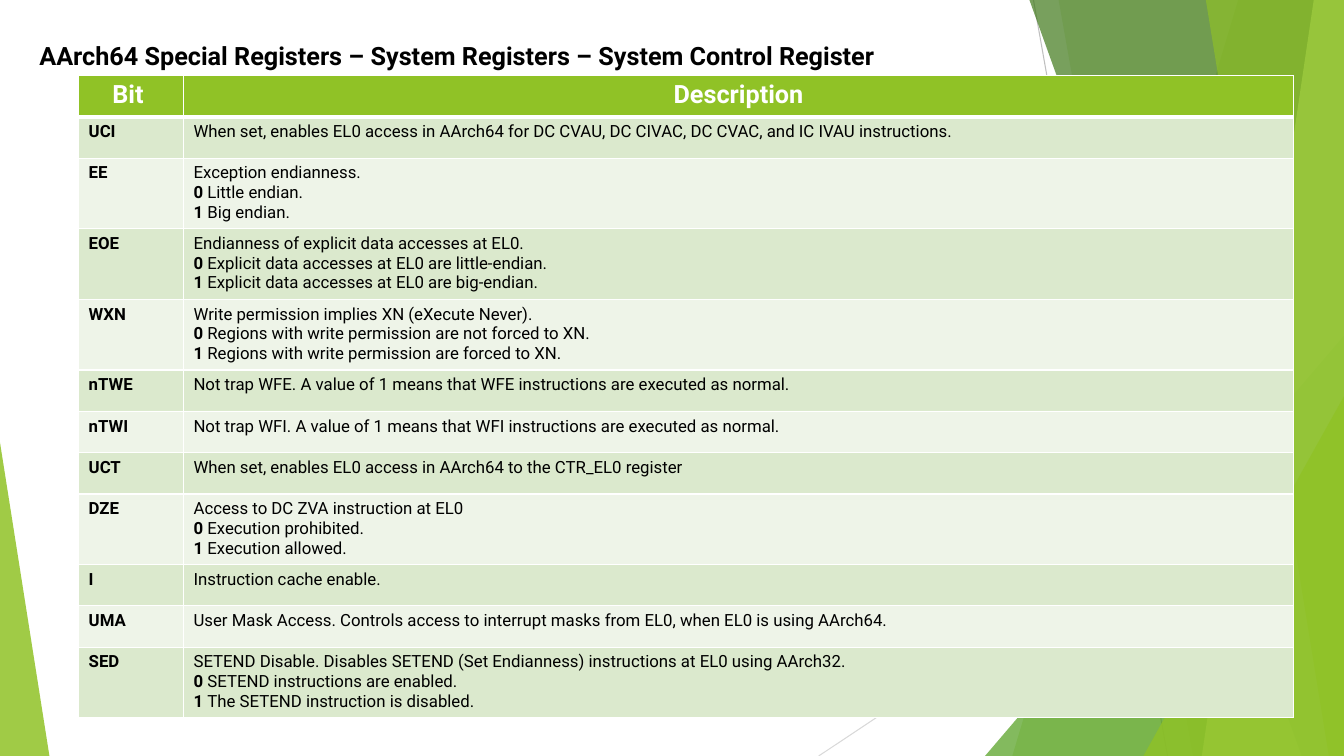
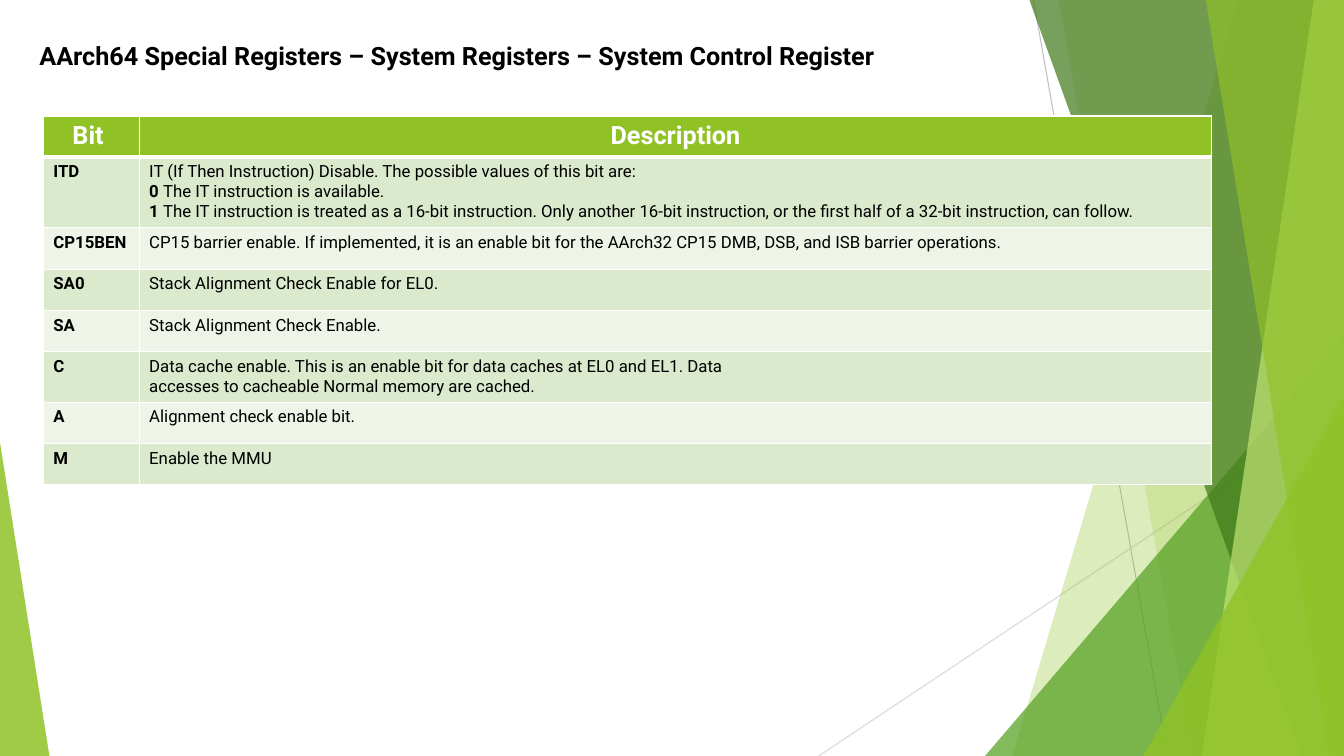
from dataclasses import dataclass
from typing import Any

from lxml.etree import SubElement
from pptx import Presentation
from pptx.dml.color import RGBColor
from pptx.enum.shapes import MSO_CONNECTOR, MSO_SHAPE
from pptx.enum.text import MSO_ANCHOR, MSO_AUTO_SIZE, PP_ALIGN
from pptx.oxml.ns import qn
from pptx.util import Inches, Pt

SLIDE_WIDTH, SLIDE_HEIGHT = 13.33, 7.5
ROW_HEIGHT = 0.41
FONT = "Roboto"
BLACK, WHITE = "000000", "FFFFFF"
GREEN, MID_GREEN, DARK_GREEN, PALE_GREEN = "90C226", "54A021", "3F7819", "C0E474"
ROW_FILLS = ("DBE9CD", "EEF4E8")
TITLE = "AArch64 Special Registers – System Registers – System Control Register"
TITLE_PLACE = {"left": Inches(0.29), "top": Inches(0.35),
               "width": Inches(9.85), "height": Inches(0.4)}
TITLE_FRAME = {"word_wrap": True, "auto_size": MSO_AUTO_SIZE.SHAPE_TO_FIT_TEXT,
               "vertical_anchor": MSO_ANCHOR.TOP}
HEADING = {"name": FONT, "size": Pt(18), "bold": True}
BODY = {"name": FONT, "size": Pt(12), "bold": False}
BODY_BOLD = {**BODY, "bold": True}


@dataclass(frozen=True)
class Ray:
    start: tuple[float, float]
    end: tuple[float, float]
    color: str


@dataclass(frozen=True)
class Band:
    top_x: float
    bottom_x: float
    color: str
    opacity: int


@dataclass(frozen=True)
class Corner:
    left: float
    top: float
    width: float
    apex: float
    color: str
    opacity: int


@dataclass(frozen=True)
class Bit:
    name: str
    lines: tuple[str, ...]


@dataclass(frozen=True)
class BitTable:
    left: float
    top: float
    columns: tuple[float, float]
    bits: tuple[Bit, ...]


DECORATIONS = (
    Ray((10.25, 0), (11.58, SLIDE_HEIGHT), "BFBFBF"),
    Ray((SLIDE_WIDTH, 4.03), (8.12, SLIDE_HEIGHT), "D9D9D9"),
    Band(12.28, 10.04, GREEN, 30),
    Band(10.5, 11.83, GREEN, 20),
    Corner(9.77, 3.33, 3.56, 1, MID_GREEN, 72),
    Band(10.21, 12.91, DARK_GREEN, 70),
    Band(13.03, 11.92, PALE_GREEN, 70),
    Band(11.96, 13.18, GREEN, 65),
    Corner(11.34, 3.93, 1.99, 1, GREEN, 80),
    Corner(0, 4.39, 0.49, 0, GREEN, 85),
)

TABLES = (
    BitTable(0.78, 0.75, (1.04, 11.01), (
        Bit("UCI", ("When set, enables EL0 access in AArch64 for DC CVAU, DC CIVAC, "
                    "DC CVAC, and IC IVAU instructions.",)),
        Bit("EE", ("Exception endianness.", "0 Little endian.", "1 Big endian.")),
        Bit("EOE", ("Endianness of explicit data accesses at EL0.",
                    "0 Explicit data accesses at EL0 are little-endian.",
                    "1 Explicit data accesses at EL0 are big-endian.")),
        Bit("WXN", ("Write permission implies XN (eXecute Never).",
                    "0 Regions with write permission are not forced to XN.",
                    "1 Regions with write permission are forced to XN.")),
        Bit("nTWE", ("Not trap WFE. A value of 1 means that WFE instructions "
                     "are executed as normal.",)),
        Bit("nTWI", ("Not trap WFI. A value of 1 means that WFI instructions "
                     "are executed as normal.",)),
        Bit("UCT", ("When set, enables EL0 access in AArch64 to the CTR_EL0 register",)),
        Bit("DZE", ("Access to DC ZVA instruction at EL0",
                    "0 Execution prohibited.", "1 Execution allowed.")),
        Bit("I", ("Instruction cache enable.",)),
        Bit("UMA", ("User Mask Access. Controls access to interrupt masks from EL0, "
                    "when EL0 is using AArch64.",)),
        Bit("SED", ("SETEND Disable. Disables SETEND (Set Endianness) instructions "
                    "at EL0 using AArch32.",
                    "0 SETEND instructions are enabled.",
                    "1 The SETEND instruction is disabled.")),
    )),
    BitTable(0.43, 1.15, (0.95, 10.64), (
        Bit("ITD", ("IT (If Then Instruction) Disable. The possible values of this bit are:",
                    "0 The IT instruction is available.",
                    "1 The IT instruction is treated as a 16-bit instruction. Only another "
                    "16-bit instruction, or the first half of a 32-bit instruction, "
                    "can follow.")),
        Bit("CP15BEN", ("CP15 barrier enable. If implemented, it is an enable bit for the "
                        "AArch32 CP15 DMB, DSB, and ISB barrier operations.",)),
        Bit("SA0", ("Stack Alignment Check Enable for EL0.",)),
        Bit("SA", ("Stack Alignment Check Enable.",)),
        Bit("C", ("Data cache enable. This is an enable bit for data caches "
                  "at EL0 and EL1. Data",
                  "accesses to cacheable Normal memory are cached.")),
        Bit("A", ("Alignment check enable bit.",)),
        Bit("M", ("Enable the MMU",)),
    )),
)


def rgb(color: str) -> RGBColor:
    return RGBColor.from_string(color)


def apply_format(target: Any, values: dict[str, Any]) -> None:
    for name, value in values.items():
        setattr(target, name, value)


def add_run(paragraph: Any, text: str, font: dict[str, Any], color: str) -> None:
    run = paragraph.add_run()
    run.text = text
    apply_format(run.font, font)
    run.font.color.rgb = rgb(color)


def paint(shape: Any, color: str, opacity: int) -> None:
    shape.shadow.inherit = False
    shape.fill.solid()
    shape.fill.fore_color.rgb = rgb(color)
    shape.line.fill.background()
    fill_color = shape.element.xpath(".//a:srgbClr")[0]
    SubElement(fill_color, qn("a:alpha"), val=str(opacity * 1000))


def draw_ray(slide: Any, ray: Ray) -> Any:
    points = [Inches(value) for value in (*ray.start, *ray.end)]
    connector = slide.shapes.add_connector(MSO_CONNECTOR.STRAIGHT, *points)
    connector.line.color.rgb = rgb(ray.color)
    connector.line.width = Pt(0.75)
    SubElement(connector.element.spPr, qn("a:effectLst"))
    return connector


def draw_band(slide: Any, band: Band) -> Any:
    outline = slide.shapes.build_freeform(Inches(band.top_x), 0)
    corners = ((SLIDE_WIDTH, 0), (SLIDE_WIDTH, SLIDE_HEIGHT), (band.bottom_x, SLIDE_HEIGHT))
    outline.add_line_segments([(Inches(x), Inches(y)) for x, y in corners], close=True)
    shape = outline.convert_to_shape()
    paint(shape, band.color, band.opacity)
    return shape


def draw_corner(slide: Any, corner: Corner) -> Any:
    shape = slide.shapes.add_shape(
        MSO_SHAPE.ISOSCELES_TRIANGLE, Inches(corner.left), Inches(corner.top),
        Inches(corner.width), Inches(SLIDE_HEIGHT - corner.top))
    shape.adjustments[0] = corner.apex
    paint(shape, corner.color, corner.opacity)
    return shape


DRAWERS = {Ray: draw_ray, Band: draw_band, Corner: draw_corner}


def decorate_layout(slide: Any) -> None:
    layout_tree = slide.slide_layout.shapes.element
    for shape_id, decoration in enumerate(DECORATIONS, start=101):
        shape = DRAWERS[type(decoration)](slide, decoration)
        shape.element.xpath(".//p:cNvPr")[0].set("id", str(shape_id))
        layout_tree.append(shape.element)


def draw_title(slide: Any) -> None:
    title = slide.shapes.title
    apply_format(title, TITLE_PLACE)
    apply_format(title.text_frame, TITLE_FRAME)
    paragraph = title.text_frame.paragraphs[0]
    paragraph.alignment = PP_ALIGN.LEFT
    add_run(paragraph, TITLE, HEADING, BLACK)


def style_cell(cell: Any, fill: str, borders: dict[str, float]) -> None:
    properties = cell._tc.get_or_add_tcPr()
    for side, width in borders.items():
        border = SubElement(properties, qn(f"a:ln{side}"), w=str(Pt(width)))
        SubElement(SubElement(border, qn("a:solidFill")), qn("a:srgbClr"), val=WHITE)
    cell.fill.solid()
    cell.fill.fore_color.rgb = rgb(fill)


def write_lines(cell: Any, lines: tuple[str, ...]) -> None:
    frame = cell.text_frame
    for index, line in enumerate(lines):
        paragraph = frame.add_paragraph() if index else frame.paragraphs[0]
        if line.startswith(("0 ", "1 ")):
            add_run(paragraph, line[:2], BODY_BOLD, BLACK)
            line = line[2:]
        add_run(paragraph, line, BODY, BLACK)


def draw_table(slide: Any, bit_table: BitTable) -> None:
    row_count = len(bit_table.bits) + 1
    table = slide.shapes.add_table(
        row_count, 2, Inches(bit_table.left), Inches(bit_table.top),
        Inches(sum(bit_table.columns)), Inches(ROW_HEIGHT * row_count)).table
    for column, width in zip(table.columns, bit_table.columns):
        column.width = Inches(width)
    for row in table.rows:
        row.height = Inches(ROW_HEIGHT)

    for column, heading in enumerate(("Bit ", "Description")):
        cell = table.cell(0, column)
        style_cell(cell, GREEN, {"L": 1, "R": 1, "T": 1, "B": 3})
        paragraph = cell.text_frame.paragraphs[0]
        paragraph.alignment = PP_ALIGN.CENTER
        add_run(paragraph, heading, HEADING, WHITE)

    for row, bit in enumerate(bit_table.bits, start=1):
        name_cell, description_cell = table.cell(row, 0), table.cell(row, 1)
        for cell in (name_cell, description_cell):
            style_cell(cell, ROW_FILLS[(row - 1) % 2], {"L": 1, "R": 1, "B": 1})
        add_run(name_cell.text_frame.paragraphs[0], bit.name, BODY_BOLD, BLACK)
        write_lines(description_cell, bit.lines)


def main() -> None:
    presentation = Presentation()
    presentation.slide_width = Inches(SLIDE_WIDTH)
    presentation.slide_height = Inches(SLIDE_HEIGHT)
    title_only = presentation.slide_layouts[5]
    for index, bit_table in enumerate(TABLES):
        slide = presentation.slides.add_slide(title_only)
        if index == 0:
            decorate_layout(slide)
        draw_title(slide)
        draw_table(slide, bit_table)
    presentation.save("out.pptx")


main()
